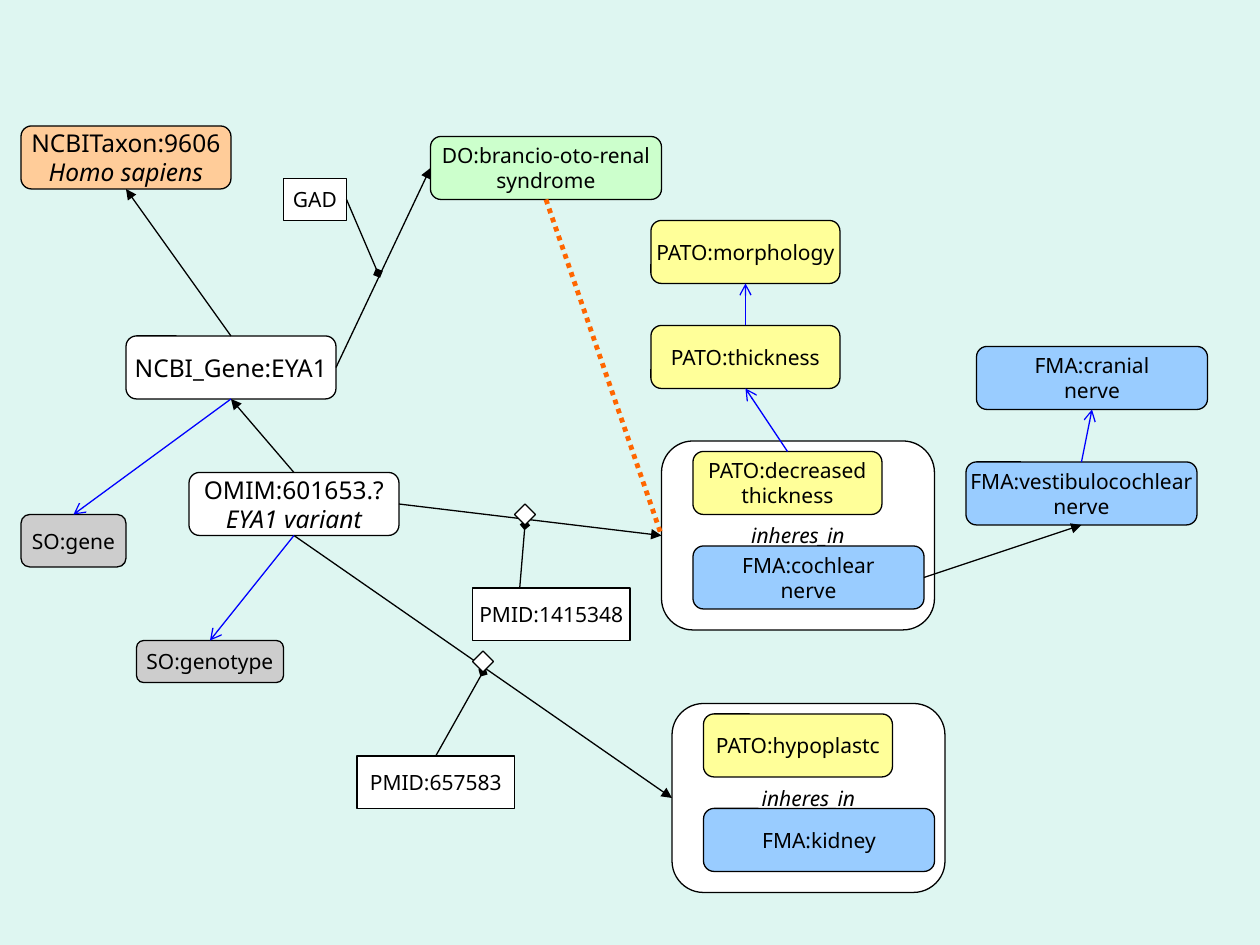
import pptx
import pptx.util
import pptx.dml.color
import pptx.enum.dml
import pptx.enum.shapes
import pptx.enum.text
import pptx.oxml
import pptx.oxml.ns

COLORS = {
    "background": "DEF6F1", "white": "FFFFFF", "black": "000000",
    "quality": "FFFF99", "anatomy": "99CCFF", "sequence": "CDCDCD",
    "taxon": "FFCC99", "disease": "CCFFCC", "is_a": "0000FF", "link": "FF6600",
}
FONT = "Noto Sans"
ITALIC_LINES = {"inheres_in", "EYA1 variant", "Homo sapiens"}
TOP, LEFT, BOTTOM, RIGHT = range(4)
ROUNDED = pptx.enum.shapes.MSO_SHAPE.ROUNDED_RECTANGLE
RECTANGLE = pptx.enum.shapes.MSO_SHAPE.RECTANGLE
DIAMOND = pptx.enum.shapes.MSO_SHAPE.DIAMOND

deck = pptx.Presentation()
deck.slide_width = pptx.util.Inches(10)
deck.slide_height = pptx.util.Inches(7.5)
page = deck.slides.add_slide(deck.slide_layouts[6])
cell = deck.slide_width // 120  # square grid of 120 columns and 90 rows


def rgb(name):
    return pptx.dml.color.RGBColor.from_string(COLORS[name])


def add_node(preset, column, row, columns, rows, fill):
    """Place an outlined shape by grid column and row."""
    node = page.shapes.add_shape(
        preset, column * cell, row * cell, columns * cell, rows * cell)
    node.shadow.inherit = False
    node.fill.solid()
    node.fill.fore_color.rgb = rgb(fill)
    node.line.color.rgb = rgb("black")
    node.line.width = pptx.util.Pt(0.75)
    return node


page.background.fill.solid()
page.background.fill.fore_color.rgb = rgb("background")

# name: preset, column, row, columns, rows, fill, text size, lines
nodes = {
    "thin nerve": (ROUNDED, 63, 42, 26, 18, "white", 12, ["inheres_in"]),
    "small kidney": (ROUNDED, 64, 67, 26, 18, "white", 12, ["inheres_in"]),
    "variant": (ROUNDED, 18, 45, 20, 6, "white", 14, ["OMIM:601653.?", "EYA1 variant"]),
    "gene": (ROUNDED, 12, 32, 20, 6, "white", 14, ["NCBI_Gene:EYA1"]),
    "human": (ROUNDED, 2, 12, 20, 6, "taxon", 14, ["NCBITaxon:9606", "Homo sapiens"]),
    "syndrome": (ROUNDED, 41, 13, 22, 6, "disease", 12, ["DO:brancio-oto-renal", "syndrome"]),
    "morphology": (ROUNDED, 62, 21, 18, 6, "quality", 12, ["PATO:morphology"]),
    "thickness": (ROUNDED, 62, 31, 18, 6, "quality", 12, ["PATO:thickness"]),
    "decreased": (ROUNDED, 66, 43, 18, 6, "quality", 12, ["PATO:decreased", "thickness"]),
    "hypoplastic": (ROUNDED, 67, 68, 18, 6, "quality", 12, ["PATO:hypoplastc"]),
    "cranial": (ROUNDED, 93, 33, 22, 6, "anatomy", 12, ["FMA:cranial", "nerve"]),
    "vestibular": (ROUNDED, 92, 44, 22, 6, "anatomy", 12, ["FMA:vestibulocochlear", "nerve"]),
    "cochlear": (ROUNDED, 66, 52, 22, 6, "anatomy", 12, ["FMA:cochlear", "nerve"]),
    "kidney": (ROUNDED, 67, 77, 22, 6, "anatomy", 12, ["FMA:kidney"]),
    "gene type": (ROUNDED, 2, 49, 10, 5, "sequence", 12, ["SO:gene"]),
    "genotype": (ROUNDED, 13, 61, 14, 4, "sequence", 12, ["SO:genotype"]),
    "nerve paper": (RECTANGLE, 45, 56, 15, 5, "white", 12, ["PMID:1415348"]),
    "kidney paper": (RECTANGLE, 34, 72, 15, 5, "white", 12, ["PMID:657583"]),
    "database": (RECTANGLE, 27, 17, 6, 4, "white", 12, ["GAD"]),
}
boxes = {}
for name, (preset, column, row, columns, rows, fill, size, lines) in nodes.items():
    box = add_node(preset, column, row, columns, rows, fill)
    boxes[name] = box
    frame = box.text_frame
    frame.word_wrap = False
    frame.vertical_anchor = pptx.enum.text.MSO_ANCHOR.MIDDLE
    for index, line in enumerate(lines):
        para = frame.add_paragraph() if index else frame.paragraphs[0]
        para.alignment = pptx.enum.text.PP_ALIGN.CENTER
        span = para.add_run()
        span.text = line
        span.font.name = FONT
        span.font.size = pptx.util.Pt(size)
        span.font.italic = line in ITALIC_LINES
        span.font.color.rgb = rgb("black")

# Each end is a box with its side, or a free grid point.
edges = [
    (("variant", RIGHT), ("thin nerve", LEFT), "black", "triangle"),
    (("variant", BOTTOM), ("small kidney", LEFT), "black", "triangle"),
    (("variant", TOP), ("gene", BOTTOM), "black", "triangle"),
    (("gene", TOP), ("human", BOTTOM), "black", "triangle"),
    (("gene", RIGHT), ("syndrome", LEFT), "black", "triangle"),
    (("cochlear", RIGHT), ("vestibular", BOTTOM), "black", "triangle"),
    (("variant", BOTTOM), ("genotype", TOP), "is_a", "arrow"),
    (("gene", BOTTOM), ("gene type", TOP), "is_a", "arrow"),
    (("thickness", TOP), ("morphology", BOTTOM), "is_a", "arrow"),
    (("decreased", TOP), ("thickness", BOTTOM), "is_a", "arrow"),
    (("vestibular", TOP), ("cranial", BOTTOM), "is_a", "arrow"),
    ((49.5, 56), (50, 50), "black", "diamond"),
    (("kidney paper", TOP), (46, 64), "black", "diamond"),
    (("database", RIGHT), (36, 26), "black", "diamond"),
    (("syndrome", BOTTOM), ("thin nerve", LEFT), "link", None),
]
for start, end, color, head in edges:
    points = [(0, 0) if point[0] in boxes else (int(point[0] * cell), point[1] * cell)
              for point in (start, end)]
    edge = page.shapes.add_connector(
        pptx.enum.shapes.MSO_CONNECTOR.STRAIGHT, *points[0], *points[1])
    if start[0] in boxes:
        edge.begin_connect(boxes[start[0]], start[1])
    if end[0] in boxes:
        edge.end_connect(boxes[end[0]], end[1])
    edge.line.color.rgb = rgb(color)
    edge.line.width = pptx.util.Pt(0.75 if head else 2.75)
    properties = edge.element.spPr
    if head:
        outline = properties.find(pptx.oxml.ns.qn("a:ln"))
        tail = pptx.oxml.parse_xml(
            f'<a:tailEnd {pptx.oxml.ns.nsdecls("a")} type="{head}"/>')
        outline.append(tail)
    else:
        edge.line.dash_style = pptx.enum.dml.MSO_LINE.ROUND_DOT
    properties.append(pptx.oxml.parse_xml(
        f'<a:effectLst {pptx.oxml.ns.nsdecls("a")}/>'))

for column, row in [(49, 48), (45, 62)]:
    add_node(DIAMOND, column, row, 2, 2, "white")

deck.save("out.pptx")
